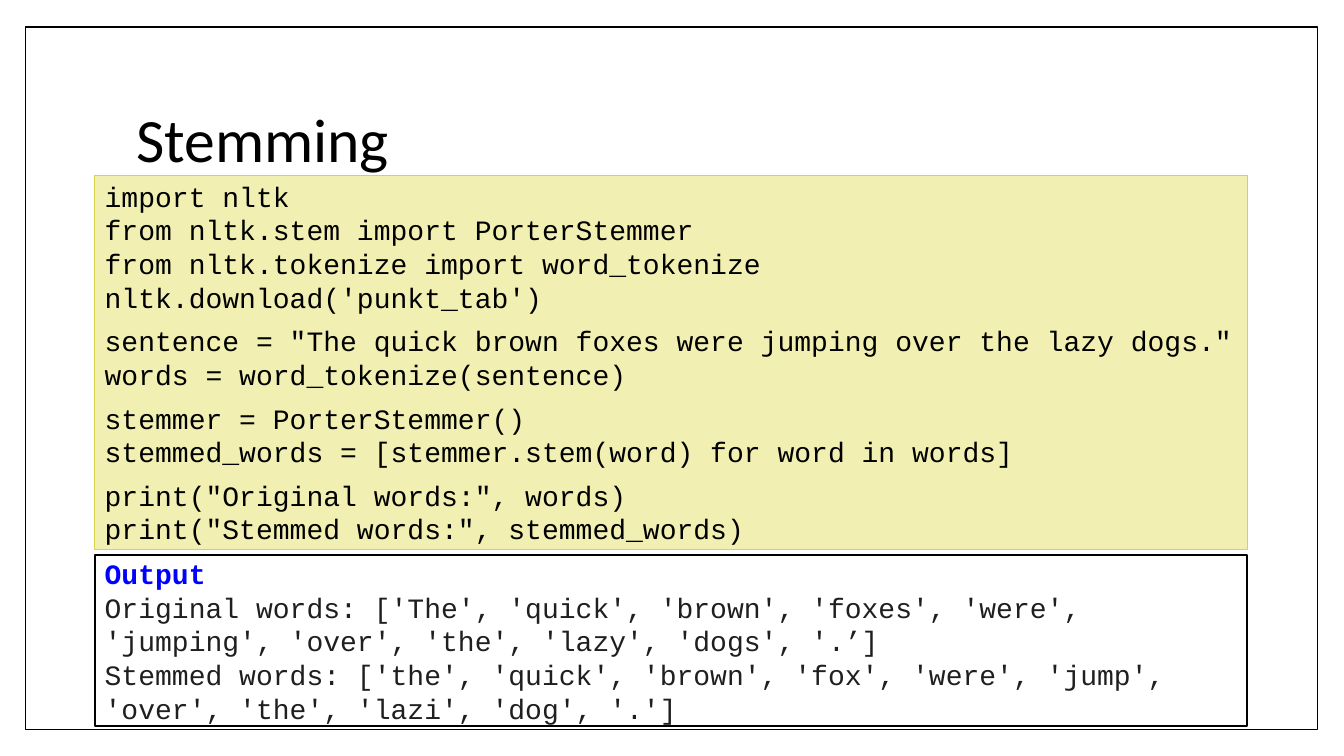
"""Build the Stemming slide: a code listing and its output."""
import pptx
import pptx.dml.color
import pptx.enum.shapes
import pptx.enum.text
import pptx.util

Inches, Pt = pptx.util.Inches, pptx.util.Pt
RGBColor = pptx.dml.color.RGBColor
BLACK = RGBColor(0x00, 0x00, 0x00)
WHITE = RGBColor(0xFF, 0xFF, 0xFF)
BLUE = RGBColor(0x00, 0x00, 0xFF)
CHARCOAL = RGBColor(0x1F, 0x1F, 0x1F)
PALE_YELLOW = RGBColor(0xF1, 0xF0, 0xB2)
OLIVE = RGBColor(0xD7, 0xD4, 0x47)

CODE_BLOCKS = [
    [
        "import nltk",
        "from nltk.stem import PorterStemmer",
        "from nltk.tokenize import word_tokenize",
        "nltk.download('punkt_tab')",
    ],
    [
        'sentence = "The quick brown foxes were jumping over the lazy dogs."',
        "words = word_tokenize(sentence)",
    ],
    [
        "stemmer = PorterStemmer()",
        "stemmed_words = [stemmer.stem(word) for word in words]",
    ],
    [
        'print("Original words:", words)',
        'print("Stemmed words:", stemmed_words)',
    ],
]
OUTPUT_LINES = [
    "Original words: ['The', 'quick', 'brown', 'foxes', 'were', "
    "'jumping', 'over', 'the', 'lazy', 'dogs', '.’]",
    "Stemmed words: ['the', 'quick', 'brown', 'fox', 'were', 'jump', "
    "'over', 'the', 'lazi', 'dog', '.']",
]


def write(paragraph, text, size=20, font="Courier New", color=BLACK, bold=False, before=0):
    paragraph.alignment = pptx.enum.text.PP_ALIGN.LEFT
    paragraph.space_before = Pt(before)
    run = paragraph.add_run()
    run.text = text
    run.font.size = Pt(size)
    run.font.name = font
    run.font.color.rgb = color
    run.font.bold = bold


def add_panel(left, top, width, height, fill, line, line_width):
    panel = slide.shapes.add_shape(
        pptx.enum.shapes.MSO_SHAPE.RECTANGLE,
        Inches(left), Inches(top), Inches(width), Inches(height))
    panel.shadow.inherit = False
    if fill is None:
        panel.fill.background()
    else:
        panel.fill.solid()
        panel.fill.fore_color.rgb = fill
    panel.line.color.rgb = line
    panel.line.width = Pt(line_width)
    panel.text_frame.word_wrap = True
    panel.text_frame.vertical_anchor = pptx.enum.text.MSO_ANCHOR.MIDDLE
    return panel.text_frame


deck = pptx.Presentation()
deck.slide_width = Inches(13.33)
deck.slide_height = Inches(7.5)
slide = deck.slides.add_slide(deck.slide_layouts[5])

add_panel(0.25, 0.27, 12.82, 6.97, None, BLACK, 1)

title = slide.shapes.title
title.left, title.top = Inches(1.25), Inches(0.67)
title.width, title.height = Inches(10.8), Inches(1.48)
title.text_frame.vertical_anchor = pptx.enum.text.MSO_ANCHOR.MIDDLE
heading = title.text_frame.paragraphs[0]
heading.line_spacing = 0.9
write(heading, "Stemming", size=44, font="Calibri")

code = add_panel(0.94, 1.74, 11.43, 3.71, PALE_YELLOW, OLIVE, 0.79)
for block_index, block in enumerate(CODE_BLOCKS):
    for line_index, code_line in enumerate(block):
        is_first = block_index == 0 and line_index == 0
        starts_block = line_index == 0 and not is_first
        paragraph = code.paragraphs[0] if is_first else code.add_paragraph()
        write(paragraph, code_line, before=7.2 if starts_block else 0)

output = add_panel(0.94, 5.51, 11.43, 1.69, WHITE, BLACK, 1.5)
write(output.paragraphs[0], "Output", color=BLUE, bold=True)
for output_line in OUTPUT_LINES:
    write(output.add_paragraph(), output_line, color=CHARCOAL)

deck.save("out.pptx")
